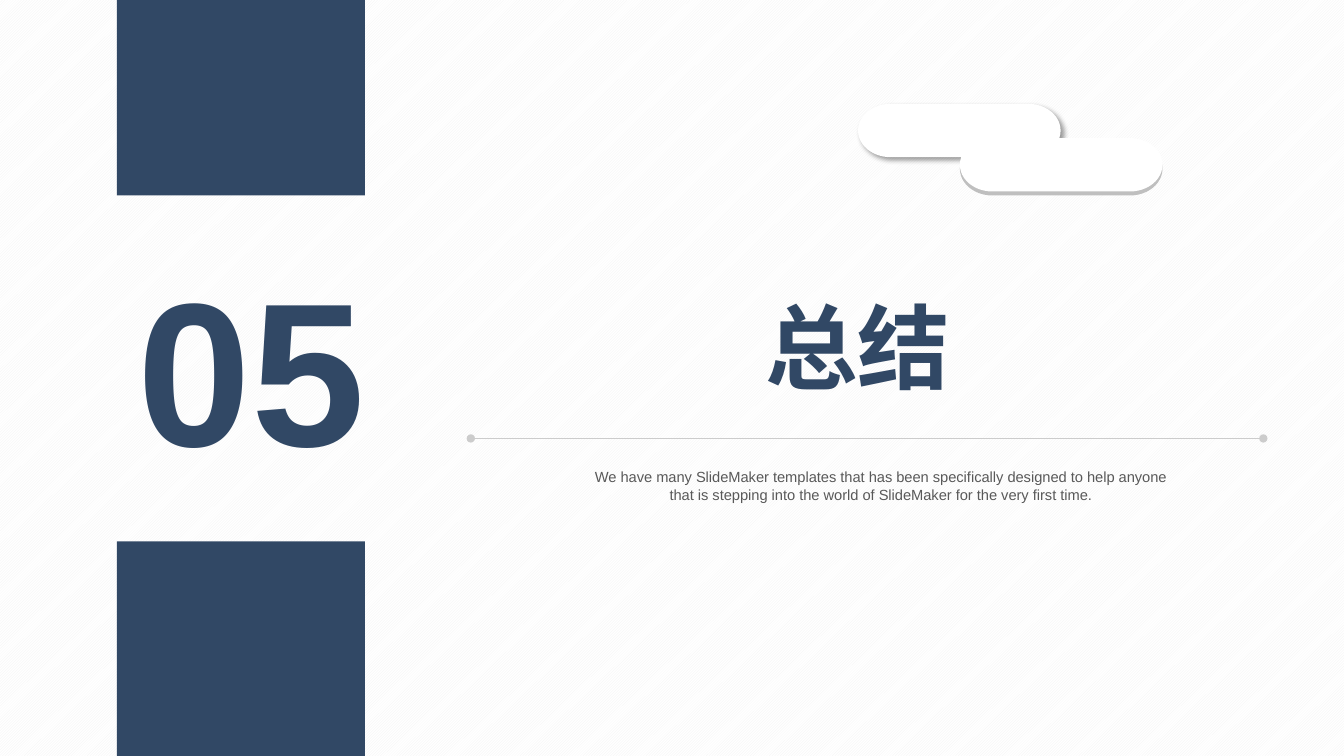
from lxml.etree import SubElement
from pptx import Presentation
from pptx.dml.color import RGBColor
from pptx.enum.dml import MSO_PATTERN
from pptx.enum.shapes import MSO_CONNECTOR, MSO_SHAPE
from pptx.enum.text import MSO_ANCHOR, MSO_AUTO_SIZE, PP_ALIGN
from pptx.oxml.ns import qn
from pptx.util import Inches, Pt

NAVY = RGBColor(0x31, 0x48, 0x65)
WHITE = RGBColor(0xFF, 0xFF, 0xFF)
STRIPE = RGBColor(0xF2, 0xF2, 0xF2)
RULE = RGBColor(0xCC, 0xCC, 0xCC)
CLOUD_EDGE = RGBColor(0xBF, 0xBF, 0xBF)
BODY = RGBColor(0x59, 0x59, 0x59)
FONT = "Arial"
PAGE_WIDTH, PAGE_HEIGHT = 13.33, 7.5


def place(shape, box):
    """Move a shape to a box of left, top, width and height in inches."""
    shape.left, shape.top, shape.width, shape.height = map(Inches, box)


def add_solid(shapes, kind, box, color):
    """Add a plain filled shape without line or shadow."""
    shape = shapes.add_shape(kind, *map(Inches, box))
    shape.shadow.inherit = False
    shape.fill.solid()
    shape.fill.fore_color.rgb = color
    shape.line.fill.background()
    return shape


def write(shape, text, size, color, align=PP_ALIGN.CENTER, bold=False):
    """Fill a text shape with one paragraph, without insets."""
    frame = shape.text_frame
    frame.word_wrap = True
    frame.auto_size = MSO_AUTO_SIZE.SHAPE_TO_FIT_TEXT
    frame.vertical_anchor = MSO_ANCHOR.TOP
    frame.margin_left = frame.margin_right = 0
    frame.margin_top = frame.margin_bottom = 0
    frame.text = text
    para = frame.paragraphs[0]
    para.alignment = align
    font = para.font
    font.name, font.size, font.bold = FONT, Pt(size), bold
    font.color.rgb = color
    return para


def add_number_column(page, box, number):
    """Draw the section number between two blocks at the column's ends."""
    left, top, width, height = box
    upper, lower = 1.94, 2.13
    for block_top, block_height in ((top, upper), (top + height - lower, lower)):
        add_solid(page.shapes, MSO_SHAPE.RECTANGLE,
                  (left, block_top, width, block_height), NAVY)
    label = page.shapes.add_textbox(
        *map(Inches, (left, top + 2.4, width, 2.46)))
    write(label, number, 146, NAVY, PP_ALIGN.RIGHT, bold=True)


def add_soft_shadow(shape):
    """Give a shape a blurred shadow towards the lower right."""
    effects = shape._element.spPr.find(qn("a:effectLst"))
    shadow = SubElement(effects, qn("a:outerShdw"), blurRad=str(Pt(4)),
                        dist=str(Pt(3)), dir="2700000", algn="tl",
                        rotWithShape="0")
    color = SubElement(shadow, qn("a:srgbClr"), val="000000")
    SubElement(color, qn("a:alpha"), val="40000")


def add_cloud(page, box):
    """Draw two overlapping pills, the lower one with a grey edge."""
    left, top, width, height = box
    pill_width, pill_height, edge = 2.01, 0.53, 0.04
    right = left + width - pill_width
    bottom = top + height - pill_height
    shapes = page.shapes.add_group_shape().shapes
    pills = [add_solid(shapes, MSO_SHAPE.FLOWCHART_TERMINATOR,
                       (x, y, pill_width, pill_height), color)
             for x, y, color in ((right, bottom, CLOUD_EDGE),
                                 (left, top, WHITE),
                                 (right, bottom - edge, WHITE))]
    add_soft_shadow(pills[1])


def add_rule(page, left, top, width):
    """Draw a horizontal line with a dot at each end."""
    rule = page.shapes.add_connector(
        MSO_CONNECTOR.STRAIGHT,
        *map(Inches, (left, top, left + width, top)))
    rule.line.color.rgb = RULE
    rule.line.width = Pt(1)
    line = rule.line._get_or_add_ln()
    for end in ("a:headEnd", "a:tailEnd"):
        SubElement(line, qn(end), type="oval")
    SubElement(rule._element.spPr, qn("a:effectLst"))


def add_heading(page, box, title, summary):
    """Place the title, the rule and the summary in the given box."""
    left, top, width, height = box
    place(page.shapes.title, (left + 0.61, top, 6.45, 1.11))
    para = write(page.shapes.title, title, 66, NAVY, bold=True)
    para.space_before = Pt(13.2)
    add_rule(page, left, top + 1.47, width)
    note = page.shapes.add_textbox(
        *map(Inches, (left + 1.11, top + height - 0.35, 5.92, 0.35)))
    write(note, summary, 10.5, BODY)


def build_section_page(deck):
    """Build the section opener on a striped background."""
    page = deck.slides.add_slide(deck.slide_layouts[5])
    fill = page.background.fill
    fill.patterned()
    fill.pattern = MSO_PATTERN.DARK_UPWARD_DIAGONAL
    fill.fore_color.rgb = STRIPE
    fill.back_color.rgb = WHITE
    add_number_column(page, (1.16, 0, 2.46, PAGE_HEIGHT), "05")
    add_cloud(page, (8.51, 1.03, 3.02, 0.91))
    add_heading(page, (4.67, 2.88, 7.86, 2.11), "总结",
                "We have many SlideMaker templates that has been specifically "
                "designed to help anyone that is stepping into the world of "
                "SlideMaker for the very first time.")


deck = Presentation()
deck.slide_width, deck.slide_height = Inches(PAGE_WIDTH), Inches(PAGE_HEIGHT)
build_section_page(deck)
deck.save("out.pptx")
